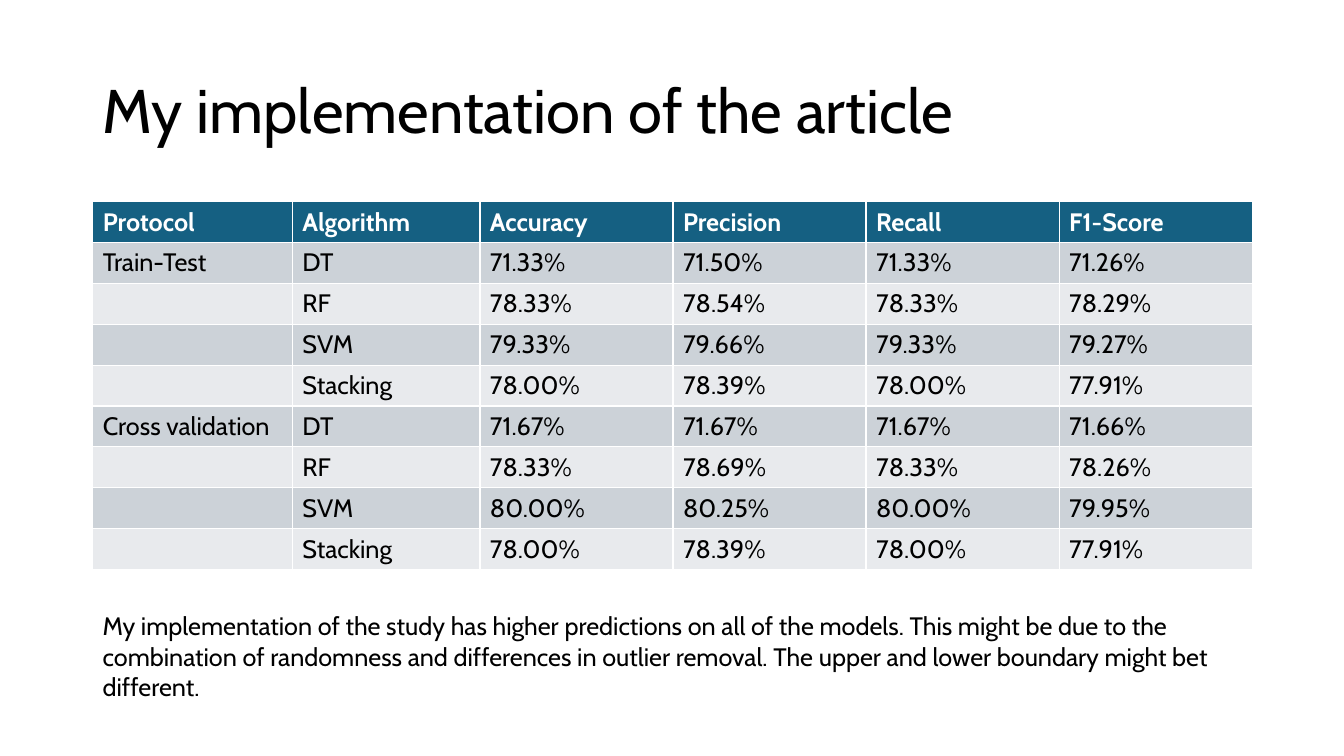
from pptx import Presentation
from pptx.dml.color import RGBColor
from pptx.enum.text import MSO_ANCHOR, PP_ALIGN

LEFT = PP_ALIGN.LEFT
MIDDLE = MSO_ANCHOR.MIDDLE
SCALE = 9144  # EMU in one px, 100 px to the inch
FONT = "Cabin"
COLORS = {
    "text": "000000",
    "light": "FFFFFF",
    "head": "156082",
    "odd": "CCD2D8",
    "even": "E8EAED",
}

TITLE = "My implementation of the article"
NOTE = (
    "My implementation of the study has higher predictions on all of the models. "
    "This might be due to the combination of randomness and differences in outlier "
    "removal. The upper and lower boundary might bet different."
)
HEADS = ["Protocol", "Algorithm", "Accuracy", "Precision", "Recall", "F1-Score"]
SCORES = {
    "Train-Test": [
        ("DT", "71.33%", "71.50%", "71.33%", "71.26%"),
        ("RF", "78.33%", "78.54%", "78.33%", "78.29%"),
        ("SVM", "79.33%", "79.66%", "79.33%", "79.27%"),
        ("Stacking", "78.00%", "78.39%", "78.00%", "77.91%"),
    ],
    "Cross validation": [
        ("DT", "71.67%", "71.67%", "71.67%", "71.66%"),
        ("RF", "78.33%", "78.69%", "78.33%", "78.26%"),
        ("SVM", "80.00%", "80.25%", "80.00%", "79.95%"),
        ("Stacking", "78.00%", "78.39%", "78.00%", "77.91%"),
    ],
}
MARGIN, WIDTH = 92, 1150


def px(*sizes):
    return [int(size * SCALE) for size in sizes]


def color(name):
    return RGBColor.from_string(COLORS[name])


def write(frame, text, size=18, tint="text", bold=False, spacing=None):
    para = frame.paragraphs[0]
    para.alignment = LEFT
    para.line_spacing = spacing
    run = para.add_run()
    run.text = text
    font = run.font
    font.name = FONT
    font.size = size * 12700
    font.bold = bold
    font.color.rgb = color(tint)


def add_title(slide):
    title = slide.shapes.title
    title.left, title.top, title.width, title.height = px(MARGIN, 40, WIDTH, 145)
    title.text_frame.vertical_anchor = MIDDLE
    write(title.text_frame, TITLE, size=44, spacing=0.9)


def add_scores(slide):
    rows = [HEADS]
    for group, lines in SCORES.items():
        for i, line in enumerate(lines):
            rows.append(["" if i else group, *line])

    place = px(MARGIN, 200, WIDTH, 365)
    table = slide.shapes.add_table(len(rows), len(HEADS), *place).table
    first, second = 198, 186
    metric = (WIDTH - first - second) / 4
    for col, width in zip(table.columns, px(first, second, *[metric] * 4)):
        col.width = width

    for r, row in enumerate(rows):
        band = "head" if r == 0 else "odd" if r % 2 else "even"
        tint = "text" if r else "light"
        for c, text in enumerate(row):
            cell = table.cell(r, c)
            cell.fill.solid()
            cell.fill.fore_color.rgb = color(band)
            if text:
                write(cell.text_frame, text, tint=tint, bold=r == 0)


def add_note(slide):
    box = slide.shapes.add_textbox(*px(MARGIN, 601, WIDTH, 101))
    box.text_frame.word_wrap = True
    write(box.text_frame, NOTE)


def main():
    deck = Presentation()
    deck.slide_width, deck.slide_height = px(1333, 750)
    slide = deck.slides.add_slide(deck.slide_layouts[5])
    add_title(slide)
    add_scores(slide)
    add_note(slide)
    deck.save("out.pptx")


if __name__ == "__main__":
    main()
